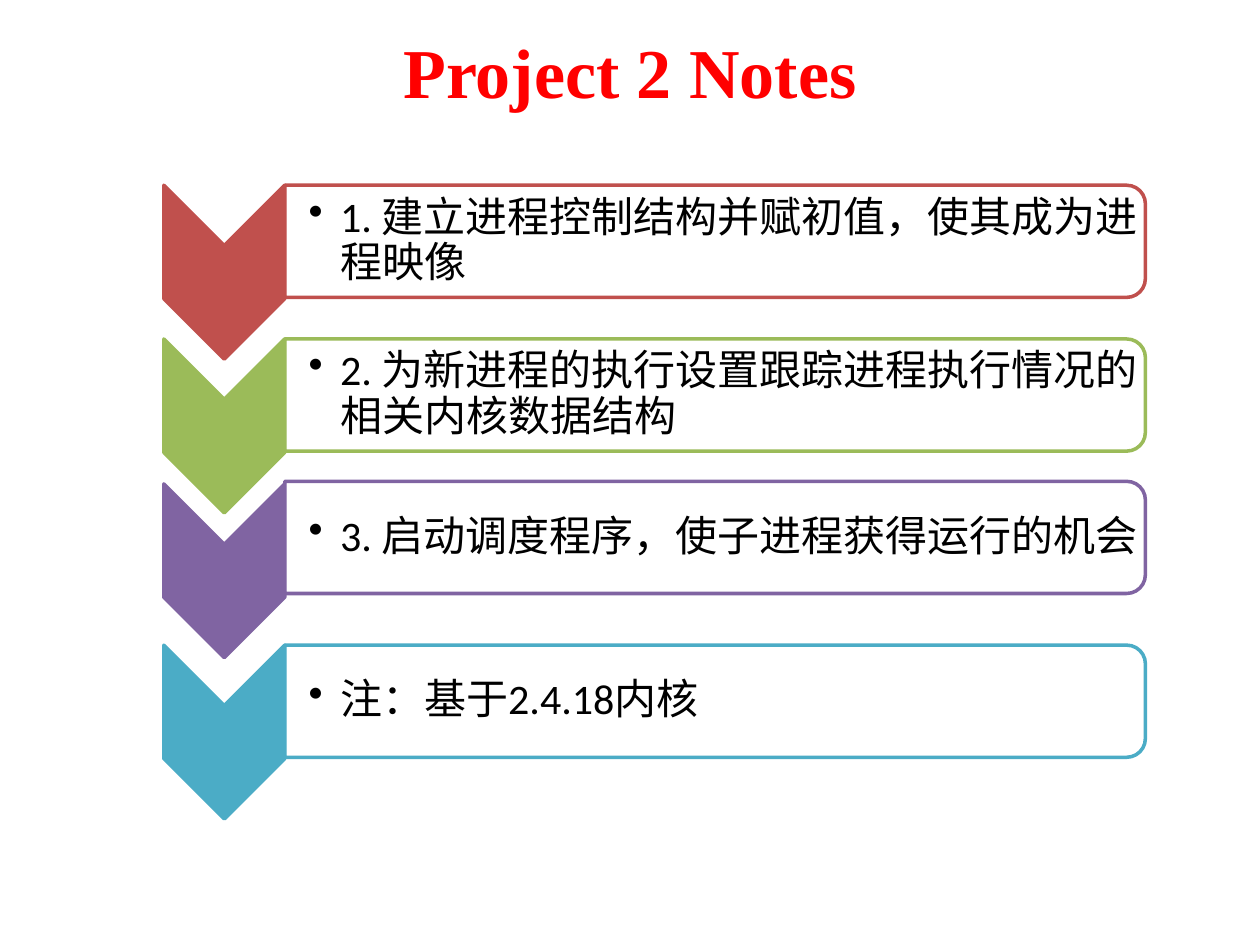
from lxml.etree import SubElement
from pptx import Presentation
from pptx.dml.color import RGBColor
from pptx.enum.shapes import MSO_SHAPE as Shape
from pptx.enum.text import MSO_ANCHOR as Anchor, PP_ALIGN as Align
from pptx.oxml.ns import qn
from pptx.util import Inches, Pt

STEPS = [
    (1.47, 1.47, "C0504D", "1. 建立进程控制结构并赋初值，使其成为进程映像"),
    (2.69, 2.69, "9BBB59", "2. 为新进程的执行设置跟踪进程执行情况的相关内核数据结构"),
    (3.84, 3.82, "8064A2", "3. 启动调度程序，使子进程获得运行的机会"),
    (5.12, 5.12, "4BACC6", "注：基于2.4.18内核"),
]


def rgb(value):
    return RGBColor.from_string(value)


def write(frame, text, size, font="Calibri", color="000000", bold=False,
          align=Align.LEFT, margins=(0.1, 0.05, 0.1, 0.05), bullet=False):
    frame.word_wrap = True
    frame.vertical_anchor = Anchor.MIDDLE
    (frame.margin_left, frame.margin_top,
     frame.margin_right, frame.margin_bottom) = map(Inches, margins)
    paragraph = frame.paragraphs[0]
    paragraph.alignment = align
    if bullet:
        paragraph.level = 1
        paragraph.line_spacing = 0.9
        paragraph.space_after = Pt(size * 0.15)
        properties = paragraph._p.get_or_add_pPr()
        properties.set("marL", str(Inches(0.25)))
        properties.set("indent", str(-Inches(0.25)))
        SubElement(properties, qn("a:buChar"), char="•")
    run = paragraph.add_run()
    run.text = text
    run.font.size = Pt(size)
    run.font.name = font
    run.font.bold = bold
    run.font.color.rgb = rgb(color)


class NotesSlide:
    """Holds the style and the current slide."""

    left, chevron_width, chevron_length = 1.3, 0.96, 1.38
    panel_left, panel_width, panel_height = 2.26, 6.83, 0.89
    text_size, line_width = 24, 2

    def __init__(self, deck):
        self.slide = deck.slides.add_slide(deck.slide_layouts[5])

    def title(self, text):
        heading = self.slide.shapes.title
        heading.left, heading.top = Inches(0.5), Inches(0.05)
        heading.width, heading.height = Inches(9), Inches(1.02)
        write(heading.text_frame, text, 40, font="Times New Roman",
              color="FF0000", bold=True, align=Align.CENTER)

    def turned(self, kind, left, top, width, height, fill, line):
        """Adds a shape turned by 90 degrees that covers the given area."""
        shape = self.slide.shapes.add_shape(
            kind, Inches(left + (width - height) / 2),
            Inches(top + (height - width) / 2), Inches(height), Inches(width))
        shape.rotation = 90
        shape.shadow.inherit = False
        shape.fill.solid()
        shape.fill.fore_color.rgb = rgb(fill)
        shape.line.color.rgb = rgb(line)
        shape.line.width = Pt(self.line_width)
        return shape

    def chevron(self, top, color):
        self.turned(Shape.CHEVRON, self.left, top, self.chevron_width,
                    self.chevron_length, color, color)

    def panel(self, top, color):
        panel = self.turned(Shape.ROUND_2_SAME_RECTANGLE, self.panel_left, top,
                            self.panel_width, self.panel_height, "FFFFFF", color)
        fill_color = panel._element.spPr.find(qn("a:solidFill"))[0]
        SubElement(fill_color, qn("a:alpha"), val="90000")

    def statement(self, top, text):
        box = self.slide.shapes.add_textbox(
            Inches(self.panel_left), Inches(top + 0.04),
            Inches(self.panel_width - 0.04), Inches(self.panel_height - 0.08))
        write(box.text_frame, text, self.text_size,
              margins=(0.19, 0.02, 0.02, 0.02), bullet=True)


def main():
    deck = Presentation()
    deck.slide_width, deck.slide_height = Inches(10), Inches(7.5)
    notes = NotesSlide(deck)
    notes.title("Project 2 Notes")
    for chevron_top, panel_top, color, text in STEPS:
        notes.chevron(chevron_top, color)
        notes.panel(panel_top, color)
        notes.statement(panel_top, text)
    deck.save("out.pptx")


if __name__ == "__main__":
    main()
